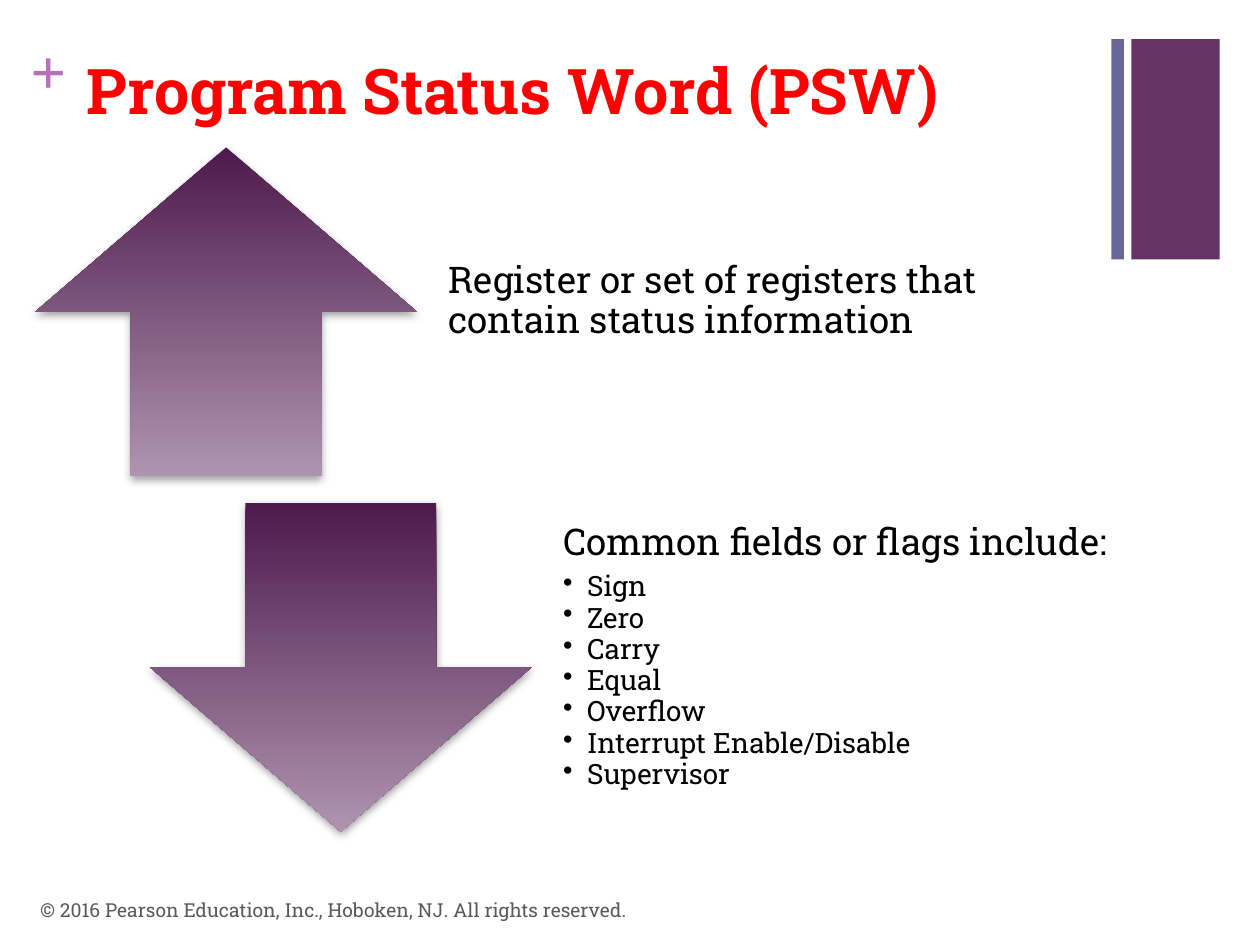
from dataclasses import dataclass

from lxml import etree
from pptx import Presentation
from pptx import util as u
from pptx.dml.color import RGBColor
from pptx.enum import shapes, text
from pptx.oxml.ns import qn


@dataclass(frozen=True)
class Theme:
    font: str = "Roboto Slab"
    plus_font: str = "Times New Roman"
    title: str = "FF0000"
    body: str = "000000"
    footer: str = "595959"
    plus: str = "B870B8"
    purple: str = "663366"
    blue: str = "666699"
    arrow_top: str = "4D1A4D"
    arrow_bottom: str = "AF94AF"
    shadow: str = "808080"
    title_size: float = 36
    heading_size: float = 21
    bullet_size: float = 16
    footer_size: float = 11


class SlideBuilder:
    def __init__(self, prs, theme):
        self.theme = theme
        self.slide = prs.slides.add_slide(prs.slide_layouts[6])

    def shape(self, kind, box):
        sp = self.slide.shapes.add_shape(kind, *map(u.Inches, box))
        sp.shadow.inherit = False
        sp.line.fill.background()
        return sp

    def bar(self, box, color):
        sp = self.shape(shapes.MSO_SHAPE.RECTANGLE, box)
        sp.fill.solid()
        sp.fill.fore_color.rgb = RGBColor.from_string(color)

    def arrow(self, kind, box):
        """Block arrow with a top-to-bottom gradient and a soft shadow."""
        sp = self.shape(kind, box)
        sp.fill.gradient()
        sp.fill.gradient_angle = 270
        colors = (self.theme.arrow_top, self.theme.arrow_bottom)
        for stop, color in zip(sp.fill.gradient_stops, colors):
            stop.color.rgb = RGBColor.from_string(color)
        effects = sp._element.spPr.find(qn("a:effectLst"))
        shadow = etree.SubElement(
            effects, qn("a:outerShdw"), blurRad=str(u.Pt(5)), dist=str(u.Pt(2)),
            dir="5400000", algn="ctr", rotWithShape="0")
        color = etree.SubElement(shadow, qn("a:srgbClr"), val=self.theme.shadow)
        etree.SubElement(color, qn("a:alpha"), val="75000")

    def text_box(self, box, insets=(0.1, 0.05, 0.1, 0.05),
                 anchor=text.MSO_ANCHOR.TOP):
        tf = self.slide.shapes.add_textbox(*map(u.Inches, box)).text_frame
        tf.word_wrap = True
        tf.vertical_anchor = anchor
        (tf.margin_left, tf.margin_top,
         tf.margin_right, tf.margin_bottom) = map(u.Inches, insets)
        return tf

    def run(self, p, words, size, color, bold=False, font=None):
        r = p.add_run()
        r.text = words
        r.font.name = font or self.theme.font
        r.font.size = u.Pt(size)
        r.font.bold = bold
        r.font.color.rgb = RGBColor.from_string(color)

    def bullet(self, p):
        pPr = p._p.get_or_add_pPr()
        pPr.set("lvl", "1")
        pPr.set("marL", str(u.Inches(0.19)))
        pPr.set("indent", str(u.Inches(-0.19)))
        etree.SubElement(pPr, qn("a:buChar"), char="•")

    def description(self, box, heading, items=()):
        """Heading with optional bullets, centred vertically beside an arrow."""
        t = self.theme
        tf = self.text_box(box, (0.16, 0, 0.16, 0.16), text.MSO_ANCHOR.MIDDLE)
        p = tf.paragraphs[0]
        p.line_spacing = 0.9
        p.space_after = u.Pt(5.3)
        self.run(p, heading, t.heading_size, t.body)
        for item in items:
            p = tf.add_paragraph()
            p.line_spacing = 0.9
            p.space_after = u.Pt(0.6)
            self.bullet(p)
            self.run(p, item, t.bullet_size, t.body)


def main():
    prs = Presentation()
    prs.slide_width, prs.slide_height = u.Inches(10), u.Inches(7.5)
    t = Theme()
    s = SlideBuilder(prs, t)

    s.bar((8.98, 0.31, 0.7, 1.75), t.purple)
    s.bar((8.82, 0.31, 0.1, 1.75), t.blue)
    plus = s.text_box((0.24, 0.25, 0.29, 0.61), (0, 0, 0, 0))
    plus.word_wrap = False
    s.run(plus.paragraphs[0], "+", t.title_size, t.plus, True, t.plus_font)
    title = s.text_box((0.59, 0.36, 8.26, 0.97))
    s.run(title.paragraphs[0], "Program Status Word (PSW)",
          t.title_size, t.title, True)

    flags = ("Sign", "Zero", "Carry", "Equal", "Overflow",
             "Interrupt Enable/Disable", "Supervisor")
    rows = (
        (shapes.MSO_SHAPE.UP_ARROW, 0.28, 1.17,
         "Register or set of registers that contain status information", ()),
        (shapes.MSO_SHAPE.DOWN_ARROW, 1.19, 3.99,
         "Common fields or flags include:", flags),
    )
    arrow_width, row_height, gap = 3.03, 2.61, 0.09
    for kind, left, top, heading, items in rows:
        s.arrow(kind, (left, top, arrow_width, row_height))
        s.description((left + arrow_width + gap, top, 5.15, row_height),
                      heading, items)

    footer = s.text_box((0.22, 7.02, 6.7, 0.4), anchor=text.MSO_ANCHOR.MIDDLE)
    s.run(footer.paragraphs[0],
          "© 2016 Pearson Education, Inc., Hoboken, NJ. All rights reserved.",
          t.footer_size, t.footer)
    prs.save("out.pptx")


if __name__ == "__main__":
    main()
